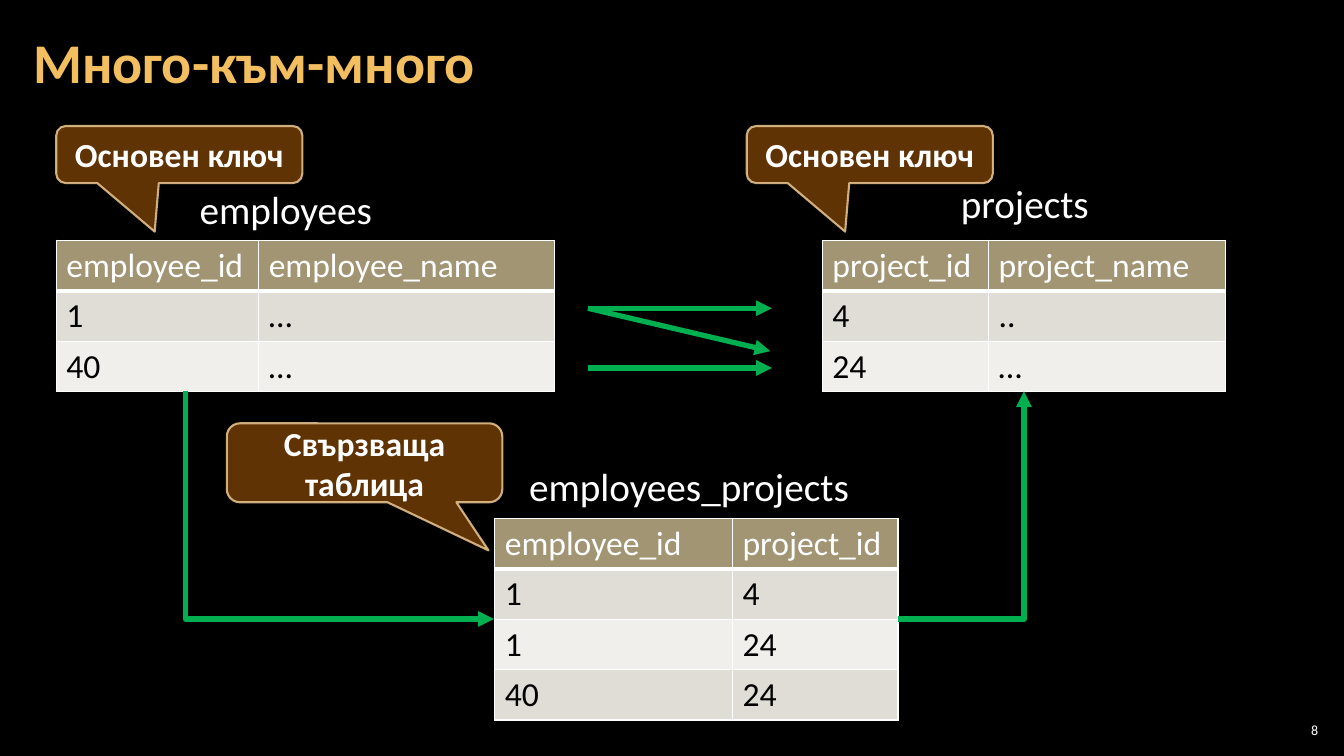
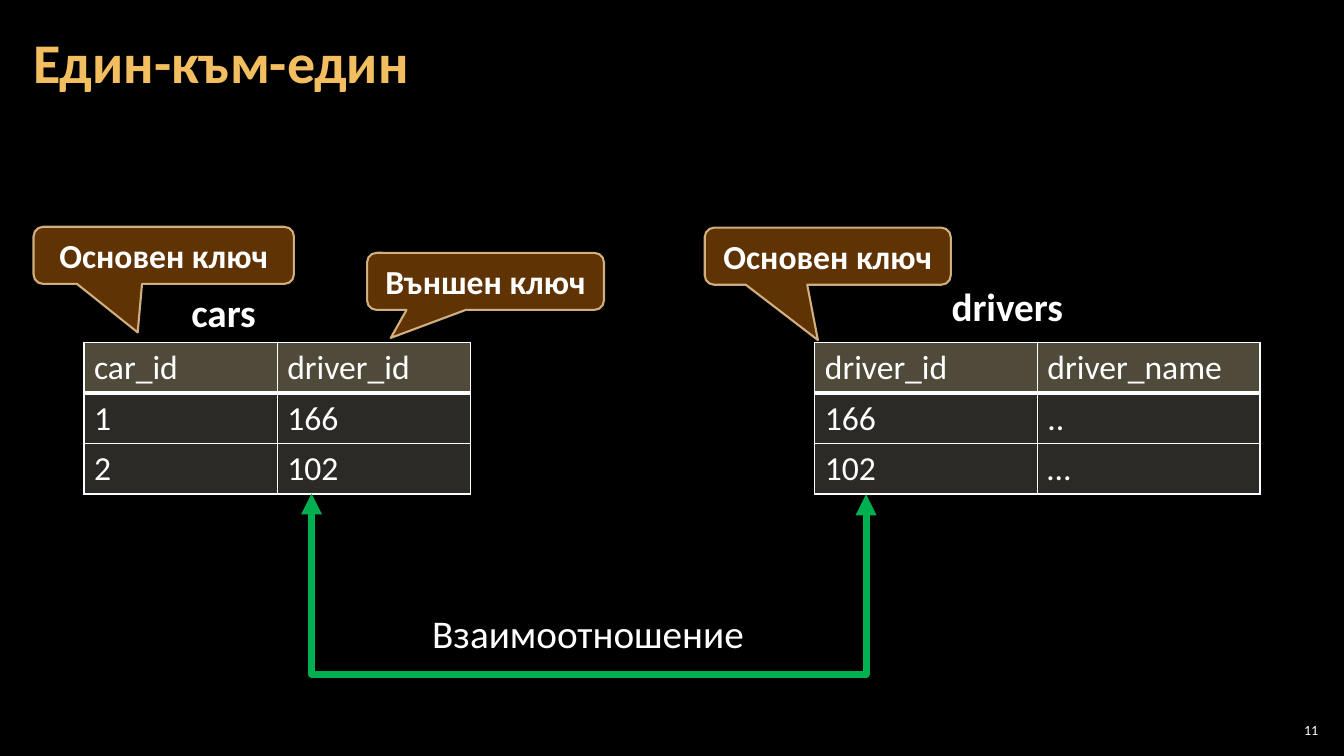
from lxml import etree
from pptx import Presentation
from pptx import util as u
from pptx.dml.color import RGBColor
from pptx.enum import shapes, text
from pptx.oxml import ns

FONT = "Calibri"
WHITE, BLACK, GOLD, GREEN = "FFFFFF", "000000", "F3BE60", "00B050"
BROWN, SAND = "663606", "F8D49E"
HEAD_FILL = "A19574"
SOLID = {"head": (HEAD_FILL, 100), "bands": [("E0DDD6", 100), ("F0EFEB", 100)], "ink": BLACK}
SHEER = {"head": (HEAD_FILL, 50), "bands": [("D9D5C7", 20)], "ink": WHITE}
KEY_TIP = (-0.1, 1.35)
LABEL_ROWS = 6.8
TABLE_ROW = 6


def color(fill, rgb, opacity=100):
    """Fill with a hex colour at the given opacity in percent."""
    fill.solid()
    fill.fore_color.rgb = RGBColor.from_string(rgb)
    if opacity < 100:
        tone = fill._xPr.find(ns.qn("a:solidFill"))[0]
        etree.SubElement(tone, ns.qn("a:alpha"), val=str(opacity * 1000))


class Deck:
    """Style and current slide, laid out on 160 columns by 90 rows."""

    def __init__(self):
        """Open a black widescreen deck."""
        self.prs = Presentation()
        self.prs.slide_width, self.prs.slide_height = u.Inches(13.33), u.Inches(7.5)
        color(self.prs.slide_master.background.fill, BLACK)

    def x(self, columns):
        """Turn columns into a length."""
        return round(self.prs.slide_width * columns / 160)

    def y(self, rows):
        """Turn rows into a length."""
        return round(self.prs.slide_height * rows / 90)

    def box(self, left, top, width, height):
        """Turn a grid area into lengths."""
        return self.x(left), self.y(top), self.x(width), self.y(height)

    def put_text(self, frame, words, size, ink=WHITE, bold=False, align=text.PP_ALIGN.LEFT):
        """Put one styled paragraph in a frame."""
        frame.text = words
        paragraph = frame.paragraphs[0]
        paragraph.alignment = align
        font = paragraph.font
        font.name, font.size, font.bold = FONT, u.Pt(size), bold
        color(font.fill, ink)
        return paragraph

    def margins(self, frame, side):
        """Set the side margins and centre the text vertically."""
        frame.margin_left = frame.margin_right = u.Inches(side)
        frame.margin_top = frame.margin_bottom = u.Inches(0.04)
        frame.vertical_anchor = text.MSO_ANCHOR.MIDDLE

    def slide(self, heading, number):
        """Add a slide with its title and page number."""
        page = self.prs.slides.add_slide(self.prs.slide_layouts[5])
        self.shapes = page.shapes
        title = self.shapes.title
        title.left, title.top, title.width, title.height = self.box(2.5, 0.5, 125.6, 14.5)
        self.margins(title.text_frame, 0.12)
        self.put_text(title.text_frame, heading, 40, GOLD, True).line_spacing = 0.9
        footer = self.shapes.add_textbox(*self.box(151.8, 85.7, 5.6, 2.5)).text_frame
        footer.word_wrap = True
        self.margins(footer, 0.04)
        self.put_text(footer, str(number), 10, align=text.PP_ALIGN.RIGHT)

    def label(self, words, left, top, width, bold=False, align=text.PP_ALIGN.LEFT, wrap=False):
        """Add a free caption."""
        frame = self.shapes.add_textbox(*self.box(left, top, width, LABEL_ROWS)).text_frame
        frame.word_wrap = wrap
        frame.auto_size = text.MSO_AUTO_SIZE.SHAPE_TO_FIT_TEXT
        self.put_text(frame, words, 28, bold=bold, align=align)

    def callout(self, words, left, top, width, height=LABEL_ROWS, tip=KEY_TIP):
        """Add a speech bubble pointing at tip."""
        bubble = self.shapes.add_shape(
            shapes.MSO_SHAPE.ROUNDED_RECTANGULAR_CALLOUT, *self.box(left, top, width, height))
        bubble.shadow.inherit = False
        bubble.adjustments[0], bubble.adjustments[1] = tip
        color(bubble.fill, BROWN, 95)
        color(bubble.line.fill, SAND, 80)
        bubble.line.width = u.Pt(1.5)
        bubble.text_frame.vertical_anchor = text.MSO_ANCHOR.MIDDLE
        self.put_text(bubble.text_frame, words, 24, bold=True, align=text.PP_ALIGN.CENTER)

    def border(self, cell, bottom):
        """Draw white cell borders ahead of the fill."""
        props = cell._tc.get_or_add_tcPr()
        for place, (side, points) in enumerate(zip("LRTB", (1, 1, 1, bottom))):
            edge = etree.Element(ns.qn(f"a:ln{side}"), w=str(u.Pt(points)))
            paint = etree.SubElement(edge, ns.qn("a:solidFill"))
            etree.SubElement(paint, ns.qn("a:srgbClr"), val=WHITE)
            props.insert(place, edge)

    def table(self, records, left, top, widths, look):
        """Add a table whose first record is the header."""
        area = self.box(left, top, sum(widths), TABLE_ROW * len(records))
        grid = self.shapes.add_table(len(records), len(widths), *area).table
        for column, width in zip(grid.columns, widths):
            column.width = self.x(width)
        for r, record in enumerate(records):
            bands = look["bands"]
            back = bands[(r - 1) % len(bands)] if r else look["head"]
            for c, words in enumerate(record):
                cell = grid.cell(r, c)
                color(cell.fill, *back)
                self.border(cell, 1 if r else 3)
                self.put_text(cell.text_frame, words, 24, look["ink"] if r else WHITE)

    def arrow(self, start, end, kind=shapes.MSO_CONNECTOR.STRAIGHT, ends=("tail",), points=3.75):
        """Add a green connector with arrowheads at the named ends."""
        link = self.shapes.add_connector(
            kind, self.x(start[0]), self.y(start[1]), self.x(end[0]), self.y(end[1]))
        color(link.line.fill, GREEN)
        link.line.width = u.Pt(points)
        for end_name in ends:
            etree.SubElement(link.line._get_or_add_ln(), ns.qn(f"a:{end_name}End"), type="triangle")
        props = link.element.spPr
        etree.SubElement(props, ns.qn("a:effectLst"))
        return props

    def corner(self, start, end, ends):
        """Add a connector running sideways, then vertically."""
        props = self.arrow(start, end, shapes.MSO_CONNECTOR.ELBOW, ends)
        props.find(ns.qn("a:prstGeom")).set("prst", "bentConnector2")

    def bracket(self, left, right, top, depth):
        """Add a two-headed connector that hangs below two points."""
        middle, span, sliver = (left + right) / 2, right - left, 0.1
        props = self.arrow((middle + sliver / 2, top - span / 2),
                           (middle - sliver / 2, top + span / 2),
                           shapes.MSO_CONNECTOR.ELBOW, ("head", "tail"), 5)
        props.find(ns.qn("a:xfrm")).set("rot", str(270 * 60000))
        guides = props.find(ns.qn("a:prstGeom")).find(ns.qn("a:avLst"))
        bend = round(depth / sliver * 100000)
        etree.SubElement(guides, ns.qn("a:gd"), name="adj1", fmla=f"val {bend}")


def many_to_many(deck):
    """Build the many-to-many slide."""
    deck.slide("Много-към-много", 8)
    deck.table([("employee_id", "employee_name"), ("1", "…"), ("40", "…")],
               6.7, 28.6, (24.1, 35.2), SOLID)
    deck.table([("project_id", "project_name"), ("4", ".."), ("24", "…")],
               97.9, 28.6, (19.8, 28.2), SOLID)
    for start_row, end in ((36.7, (91.9, 36.7)), (43.8, (91.9, 43.8)), (36.7, (91.7, 41.8))):
        deck.arrow((70, start_row), end)
    deck.label("employees", 22.6, 21.5, 23.2)
    deck.label("projects", 113.2, 20.8, 17.9)
    deck.table([("employee_id", "project_id"), ("1", "4"), ("1", "24"), ("40", "24")],
               58.9, 61.7, (28.3, 19.7), SOLID)
    deck.label("employees_projects", 61.8, 54.4, 40.9)
    deck.corner((58.8, 73.7), (22.1, 46.6), ("head",))
    deck.corner((106.9, 73.7), (121.9, 46.6), ("tail",))
    for left in (6.7, 88.9):
        deck.callout("Основен ключ", left, 15, 29.3)
    deck.callout("Свързваща таблица", 27, 50.4, 32.8, 9.4, (0.45, 1.11))


def one_to_one(deck):
    """Build the one-to-one slide."""
    deck.slide("Един-към-един", 11)
    deck.table([("car_id", "driver_id"), ("1", "166"), ("2", "102")],
               10, 40.8, (23, 23), SHEER)
    deck.table([("driver_id", "driver_name"), ("166", ".."), ("102", "…")],
               97, 40.8, (26.5, 26.5), SHEER)
    deck.label("cars", 21.6, 33.7, 10.2, True)
    deck.label("drivers", 112.1, 33, 15.8, True)
    deck.callout("Основен ключ", 4, 27, 31)
    deck.callout("Външен ключ", 43.7, 30.1, 28.2, tip=(-0.4, 0.99))
    deck.callout("Основен ключ", 83.9, 27.1, 29.3, tip=(-0.04, 1.47))
    deck.bracket(37.1, 103.1, 58.8, 21.7)
    deck.label("Взаимоотношение", 49, 72, 42, align=text.PP_ALIGN.CENTER, wrap=True)


def main():
    """Build and save the deck."""
    deck = Deck()
    many_to_many(deck)
    one_to_one(deck)
    deck.prs.save("out.pptx")


if __name__ == "__main__":
    main()
